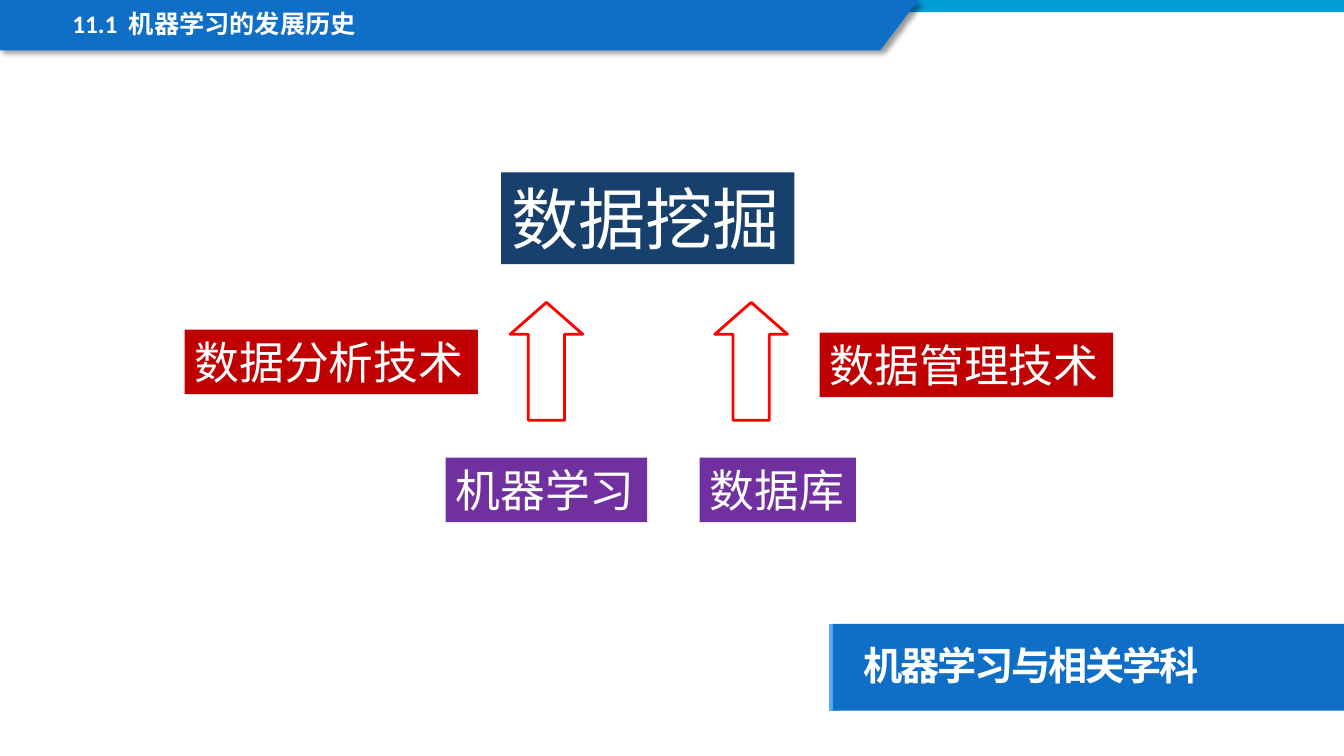
"""Build the slide on machine learning and its related disciplines."""
from lxml import etree
from pptx import Presentation
from pptx.dml.color import RGBColor
from pptx.enum.shapes import MSO_CONNECTOR, MSO_SHAPE
from pptx.enum.text import MSO_ANCHOR, MSO_AUTO_SIZE, PP_ALIGN
from pptx.oxml import parse_xml
from pptx.oxml.ns import nsdecls, qn
from pptx.util import Inches, Pt

LEFT, MIDDLE, TOP = PP_ALIGN.LEFT, MSO_ANCHOR.MIDDLE, MSO_ANCHOR.TOP
NO_FIT = MSO_AUTO_SIZE.NONE
RECT, UP_ARROW = MSO_SHAPE.RECTANGLE, MSO_SHAPE.UP_ARROW
STRAIGHT = MSO_CONNECTOR.STRAIGHT

HEADER = "11.1  机器学习的发展历史"
TITLE = "机器学习与相关学科"
LABELS = [
    ("数据挖掘", "goal", "goal", (4.97, 1.71, 2.91, 0.91)),
    ("数据库", "field", "label", (6.94, 4.54, 1.55, 0.64)),
    ("机器学习", "field", "label", (4.42, 4.54, 2, 0.64)),
    ("数据分析技术", "technique", "label", (1.83, 3.27, 2.91, 0.64)),
    ("数据管理技术", "technique", "label", (8.13, 3.3, 2.91, 0.64)),
]
ARROW_LEFTS = [5.06, 7.09]
ARROW_TOP, ARROW_W, ARROW_H = 3, 0.72, 1.17
BANNER = [(0, 0), (9.11, 0), (8.73, 0.5), (0, 0.5)]
TITLE_BOX = (8.26, 6.19, 5.07, 0.86)
SLIDE_W, SLIDE_H = 13.33, 7.5

THEME = {
    "color": {"white": "FFFFFF", "blue": "0F6FC6", "sky": "009DD9", "edge": "59AAF2",
              "goal": "17406D", "field": "7030A0", "technique": "C00000", "arrow": "FF0000"},
    "size": {"header": 18, "title": 28, "goal": 48, "label": 32},
    "font": {"latin": "Calibri", "cjk": "Noto Sans CJK SC"},
}


def color(name):
    return RGBColor.from_string(THEME["color"][name])


def paint(sp, fill, line=None, width=2):
    sp.shadow.inherit = False
    sp.fill.solid()
    sp.fill.fore_color.rgb = color(fill)
    if line:
        sp.line.color.rgb = color(line)
        sp.line.width = Pt(width)
    else:
        sp.line.fill.background()


def write(sp, text, size, frame, paragraph, bold=False, font="latin"):
    tf = sp.text_frame
    p = tf.paragraphs[0]
    r = p.add_run()
    r.text = text
    run = {"name": THEME["font"][font], "size": Pt(THEME["size"][size]), "bold": bold}
    for target, values in ((tf, frame), (p, {"alignment": LEFT, **paragraph}), (r.font, run)):
        for key, value in values.items():
            setattr(target, key, value)
    r.font.color.rgb = color("white")
    etree.SubElement(r.font._element, qn("a:ea"), typeface=THEME["font"]["cjk"])
    return r


def add_shape(s, kind, box):
    return s.shapes.add_shape(kind, *map(Inches, box))


def add_banner(s):
    builder = s.shapes.build_freeform(*map(Inches, BANNER[0]), scale=1.0)
    builder.add_line_segments([tuple(map(Inches, xy)) for xy in BANNER[1:]], close=True)
    sp = builder.convert_to_shape()
    paint(sp, "blue")
    sp._element.spPr.find(qn("a:effectLst")).append(parse_xml(
        f'<a:outerShdw {nsdecls("a")} blurRad="{Pt(4)}" dist="{Pt(3)}" dir="2700000" '
        'algn="tl" rotWithShape="0"><a:srgbClr val="000000"><a:alpha val="40000"/>'
        '</a:srgbClr></a:outerShdw>'))


def add_title(s):
    left, top, width, height = map(Inches, TITLE_BOX)
    edge = s.shapes.add_connector(STRAIGHT, left, top + height, left, top)
    edge.line.color.rgb = color("edge")
    edge.line.width = Pt(6)
    etree.SubElement(edge._element.spPr, qn("a:effectLst"))
    sp = s.shapes.title
    sp.left, sp.top, sp.width, sp.height = left, top, width, height
    sp.fill.solid()
    sp.fill.fore_color.rgb = color("blue")
    margins = dict.fromkeys(("margin_top", "margin_right", "margin_bottom"), Inches(0.2))
    frame = {"margin_left": Inches(0.3), **margins, "vertical_anchor": MIDDLE,
             "word_wrap": True, "auto_size": NO_FIT}
    r = write(sp, TITLE, "title", frame, {"line_spacing": 0.9}, bold=True, font="cjk")
    r.font._element.set("spc", "-150")
    s.shapes._spTree.append(sp._element)


def main():
    prs = Presentation()
    prs.slide_width, prs.slide_height = Inches(SLIDE_W), Inches(SLIDE_H)
    s = prs.slides.add_slide(prs.slide_layouts[5])
    paint(add_shape(s, RECT, (0, 0, SLIDE_W, 0.12)), "sky")
    add_banner(s)
    header = s.shapes.add_textbox(*map(Inches, (0.62, 0.07, 6.96, 0.38)))
    write(header, HEADER, "header", {"word_wrap": True, "vertical_anchor": TOP},
          {"line_spacing": 0.9}, bold=True)
    add_title(s)
    for text, fill, size, box in LABELS:
        sp = add_shape(s, RECT, box)
        paint(sp, fill)
        write(sp, text, size, {"word_wrap": False, "vertical_anchor": TOP}, {})
    for left in ARROW_LEFTS:
        sp = add_shape(s, UP_ARROW, (left, ARROW_TOP, ARROW_W, ARROW_H))
        sp.adjustments[1] = 0.44
        paint(sp, "white", "arrow")
    prs.save("out.pptx")


if __name__ == "__main__":
    main()
